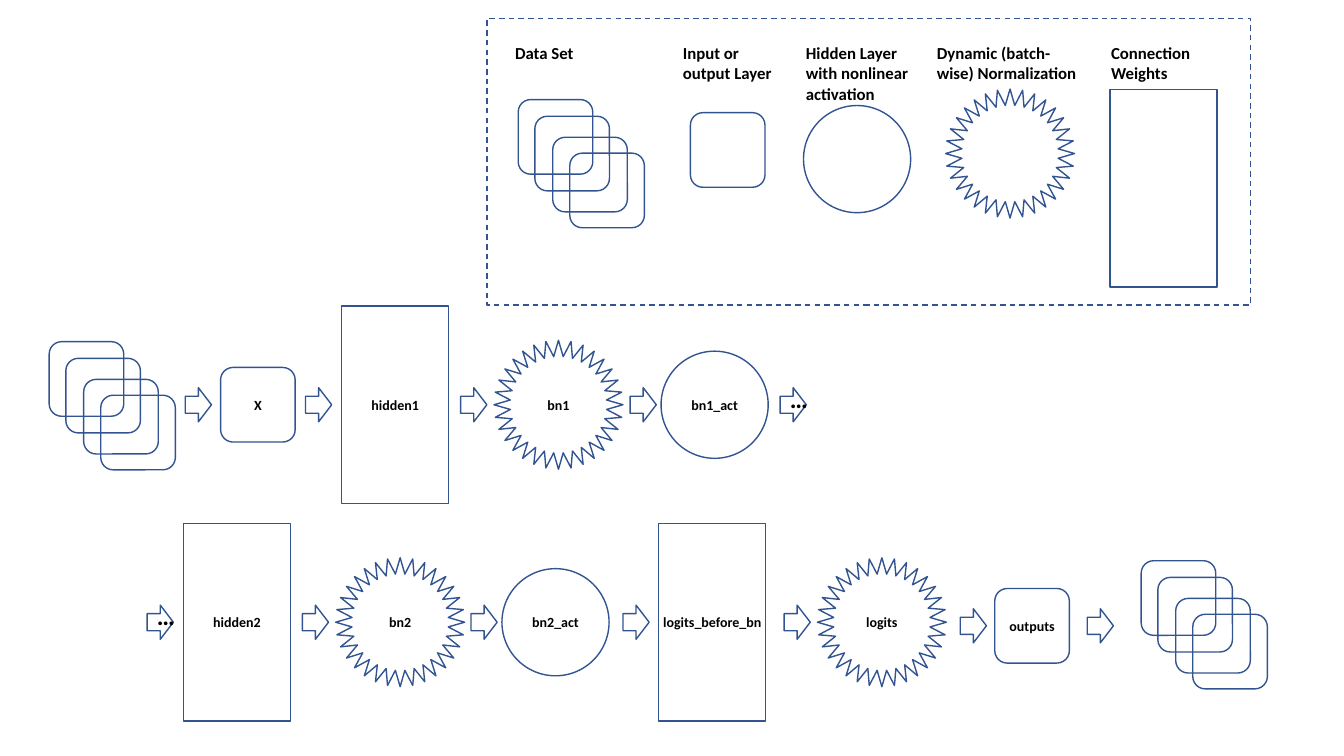
import pptx
import pptx.util
import pptx.dml.color
import pptx.enum.dml
import pptx.enum.shapes
import pptx.enum.text

Cm = pptx.util.Cm
Pt = pptx.util.Pt
SHAPE = pptx.enum.shapes.MSO_SHAPE
ALIGN = pptx.enum.text.PP_ALIGN
ANCHOR = pptx.enum.text.MSO_ANCHOR

COLORS = {"outline": "325491", "text": "000000"}
KINDS = {
    "layer": (SHAPE.ROUNDED_RECTANGLE, 1.88, 1.88),
    "activation": (SHAPE.OVAL, 2.7, 2.7),
    "normalization": (SHAPE.STAR_32_POINT, 3.25, 3.25),
    "weights": (SHAPE.RECTANGLE, 2.7, 4.98),
    "arrow": (SHAPE.RIGHT_ARROW, 0.66, 0.86),
}
STACK_OFFSETS = [(0, 0), (0.42, 0.42), (0.87, 0.95), (1.3, 1.35)]

FIRST_ROW = [
    ("arrow", 4.67, ""), ("layer", 5.56, "X"),
    ("arrow", 7.7, ""), ("weights", 8.61, "hidden1"),
    ("arrow", 11.61, ""), ("normalization", 12.45, "bn1"),
    ("arrow", 15.88, ""), ("activation", 16.66, "bn1_act"),
    ("arrow", 19.66, "…"),
]
SECOND_ROW = [
    ("arrow", 3.71, "…"), ("weights", 4.62, "hidden2"),
    ("arrow", 7.62, ""), ("normalization", 8.46, "bn2"),
    ("arrow", 11.87, ""), ("activation", 12.65, "bn2_act"),
    ("arrow", 15.7, ""), ("weights", 16.6, "logits_before_bn"),
    ("arrow", 19.76, ""), ("normalization", 20.6, "logits"),
]
OUTPUT_ROW = [
    ("arrow", 24.2, ""), ("layer", 25.07, "outputs"), ("arrow", 27.4, ""),
]
LEGEND_ITEMS = [
    ("layer", 17.4, 3.78), ("activation", 20.25, 4.01),
    ("normalization", 23.83, 3.87), ("weights", 27.97, 4.74),
]
LEGEND_LABELS = [
    ("Data Set", 12.73, 2.01, 0.76),
    ("Input or output Layer", 16.96, 2.79, 1.27),
    ("Hidden Layer with nonlinear activation", 20.06, 3.12, 1.8),
    ("Dynamic (batch-wise) Normalization", 23.36, 4.06, 1.27),
    ("Connection Weights", 27.75, 2.79, 1.27),
]


def color(name):
    return pptx.dml.color.RGBColor.from_string(COLORS[name])


def write(frame, text, size, align):
    frame.text = text
    para = frame.paragraphs[0]
    para.alignment = align
    font = para.runs[0].font
    font.name = "Calibri"
    font.size = Pt(size)
    font.bold = True
    font.color.rgb = color("text")


def add_outline(group, preset, left, top, width, height):
    shape = group.shapes.add_shape(preset, Cm(left), Cm(top), Cm(width), Cm(height))
    shape.shadow.inherit = False
    shape.fill.background()
    shape.line.color.rgb = color("outline")
    shape.line.width = Pt(1)
    return shape


def add_node(group, kind, left, middle, text=""):
    preset, width, height = KINDS[kind]
    shape = add_outline(group, preset, left, middle - height / 2, width, height)
    if not text:
        return
    frame = shape.text_frame
    frame.vertical_anchor = ANCHOR.MIDDLE
    if kind == "arrow":
        frame.vertical_anchor = ANCHOR.BOTTOM
        frame.margin_top = frame.margin_bottom = 0
    elif kind == "weights":
        frame.margin_left = frame.margin_right = 0
    write(frame, text, 18 if kind == "arrow" else 10, ALIGN.CENTER)


def add_row(group, nodes, middle):
    for kind, left, text in nodes:
        add_node(group, kind, left, middle, text)


def add_data_set(group, left, top):
    preset, width, height = KINDS["layer"]
    for across, down in STACK_OFFSETS:
        add_outline(group, preset, left + across, top + down, width, height)


def add_label(group, text, left, width, height):
    box = group.shapes.add_textbox(Cm(left), Cm(0.96), Cm(width), Cm(height))
    box.text_frame.word_wrap = text != "Data Set"
    write(box.text_frame, text, 12, ALIGN.LEFT)


def add_network(page):
    network = page.shapes.add_group_shape()
    add_data_set(network, 1.24, 8.61)
    add_row(network, FIRST_ROW, 10.2)
    add_row(network, SECOND_ROW, 15.68)
    add_row(network, OUTPUT_ROW, 15.77)
    add_data_set(network, 28.76, 14.13)


def add_legend(page):
    legend = page.shapes.add_group_shape()
    frame = add_outline(legend, SHAPE.RECTANGLE, 12.27, 0.47, 19.25, 7.22)
    frame.line.dash_style = pptx.enum.dml.MSO_LINE.DASH
    add_data_set(legend, 13.06, 2.51)
    for kind, left, middle in LEGEND_ITEMS:
        add_node(legend, kind, left, middle)
    for label in LEGEND_LABELS:
        add_label(legend, *label)


def main():
    deck = pptx.Presentation()
    deck.slide_width = Cm(33.87)
    deck.slide_height = Cm(19.05)
    page = deck.slides.add_slide(deck.slide_layouts[6])
    add_network(page)
    add_legend(page)
    deck.save("out.pptx")


main()
